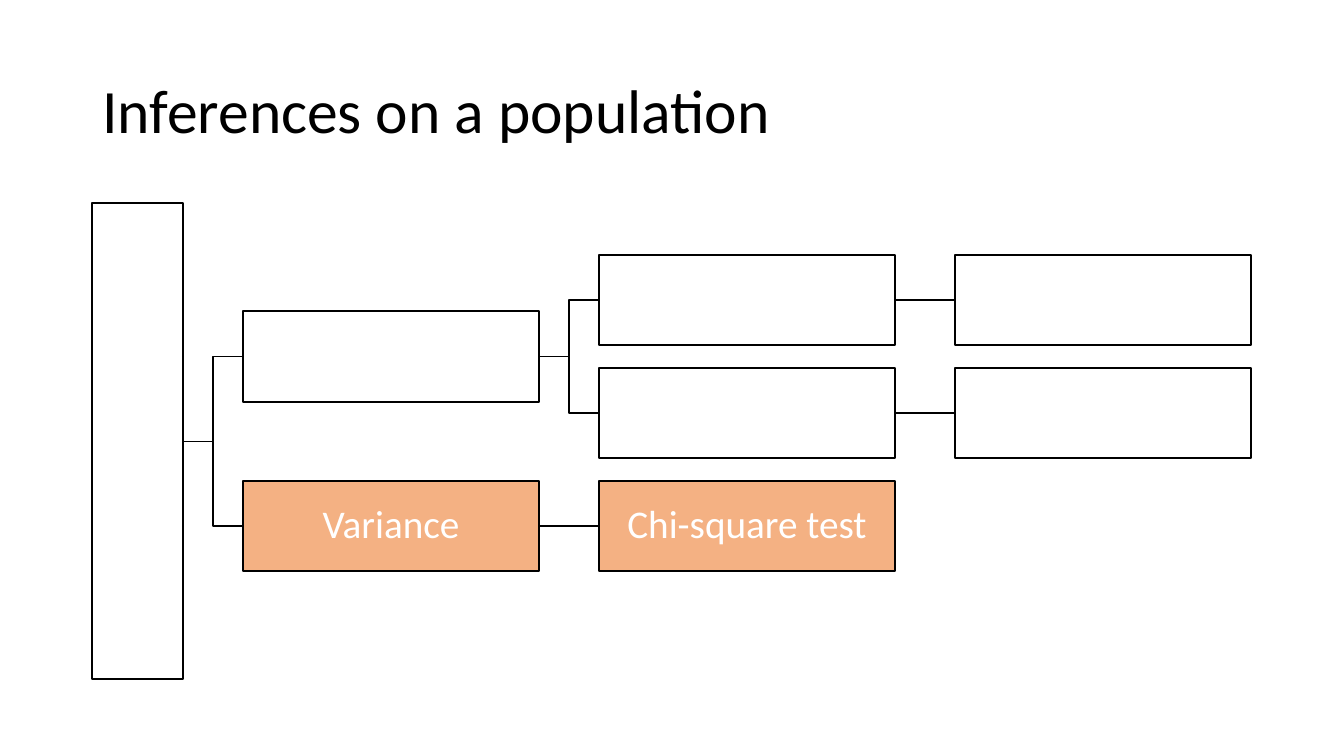
from dataclasses import dataclass

from lxml import etree
from pptx import Presentation
from pptx.dml.color import RGBColor
from pptx.enum.shapes import MSO_CONNECTOR, MSO_SHAPE
from pptx.enum.text import MSO_ANCHOR, PP_ALIGN
from pptx.oxml.ns import qn
from pptx.shapes.autoshape import Shape
from pptx.slide import Slide
from pptx.util import Cm, Pt

RECTANGLE = MSO_SHAPE.RECTANGLE
STRAIGHT = MSO_CONNECTOR.STRAIGHT
ELBOW = MSO_CONNECTOR.ELBOW
MIDDLE = MSO_ANCHOR.MIDDLE
LEFT = PP_ALIGN.LEFT
CENTER = PP_ALIGN.CENTER

BLACK = RGBColor(0x00, 0x00, 0x00)
WHITE = RGBColor(0xFF, 0xFF, 0xFF)
ORANGE = RGBColor(0xF4, 0xB1, 0x83)

FONT = "Calibri"
BOX_WIDTH, BOX_HEIGHT = 7.47, 2.28
FIRST_COLUMN, COLUMN_PITCH = 6.12, 8.97
FIRST_ROW, ROW_PITCH = 6.42, 2.85
ROOT_LEFT, ROOT_LENGTH, ROOT_ROW = 2.33, 11.99, 1.25
LEFT_SITE, RIGHT_SITE = 1, 3

TITLE_FRAME = {"word_wrap": True, "vertical_anchor": MIDDLE}
BOX_FRAME = TITLE_FRAME | {
    side: Cm(0.05)
    for side in ("margin_left", "margin_right", "margin_top", "margin_bottom")
}


@dataclass(frozen=True)
class Node:
    name: str
    parent: str
    column: int
    row: float
    text: str = ""
    fill: RGBColor = WHITE


NODES = [
    Node("mean", "root", 0, 0.5),
    Node("known", "mean", 1, 0),
    Node("known test", "known", 2, 0),
    Node("unknown", "mean", 1, 1),
    Node("unknown test", "unknown", 2, 1),
    Node("variance", "root", 0, 2, "Variance", ORANGE),
    Node("variance test", "variance", 1, 2, "Chi-square test", ORANGE),
]


def apply_format(target: object, values: dict) -> None:
    for key, value in values.items():
        setattr(target, key, value)


def write_text(box: Shape, text: str, size: int, color: RGBColor,
               align: PP_ALIGN, frame_format: dict) -> None:
    apply_format(box.text_frame, frame_format)
    para = box.text_frame.paragraphs[0]
    apply_format(para, {"alignment": align, "line_spacing": 0.9})
    span = para.add_run()
    span.text = text
    apply_format(span.font, {"name": FONT, "size": Pt(size)})
    span.font.color.rgb = color


def add_box(page: Slide, left: float, top: float, width: float,
            height: float, fill: RGBColor) -> Shape:
    box = page.shapes.add_shape(
        RECTANGLE, Cm(left), Cm(top), Cm(width), Cm(height))
    box.shadow.inherit = False
    box.fill.solid()
    box.fill.fore_color.rgb = fill
    box.line.color.rgb = BLACK
    box.line.width = Pt(1.5)
    return box


def add_node(page: Slide, node: Node) -> Shape:
    box = add_box(page, FIRST_COLUMN + node.column * COLUMN_PITCH,
                  FIRST_ROW + node.row * ROW_PITCH,
                  BOX_WIDTH, BOX_HEIGHT, node.fill)
    if node.text:
        write_text(box, node.text, 28, WHITE, CENTER, BOX_FRAME)
    return box


def add_branch(page: Slide, parent: Shape, child: Shape) -> None:
    kind = STRAIGHT if parent.top == child.top else ELBOW
    branch = page.shapes.add_connector(kind, 0, 0, 0, 0)
    branch.begin_connect(parent, RIGHT_SITE)
    branch.end_connect(child, LEFT_SITE)
    branch.line.color.rgb = BLACK
    branch.line.width = Pt(1)
    properties = branch.element.find(qn("p:spPr"))
    etree.SubElement(properties, qn("a:effectLst"))


def main() -> None:
    deck = Presentation()
    deck.slide_width, deck.slide_height = Cm(33.87), Cm(19.05)
    page = deck.slides.add_slide(deck.slide_layouts[6])

    title = page.shapes.add_textbox(Cm(2.33), Cm(1.01), Cm(29.21), Cm(3.68))
    write_text(title, "Inferences on a population", 44, BLACK, LEFT, TITLE_FRAME)

    root_top = FIRST_ROW + ROOT_ROW * ROW_PITCH + (BOX_HEIGHT - ROOT_LENGTH) / 2
    boxes = {"root": add_box(page, ROOT_LEFT, root_top,
                             BOX_HEIGHT, ROOT_LENGTH, WHITE)}
    for node in NODES:
        boxes[node.name] = add_node(page, node)
        add_branch(page, boxes[node.parent], boxes[node.name])

    deck.save("out.pptx")


if __name__ == "__main__":
    main()
